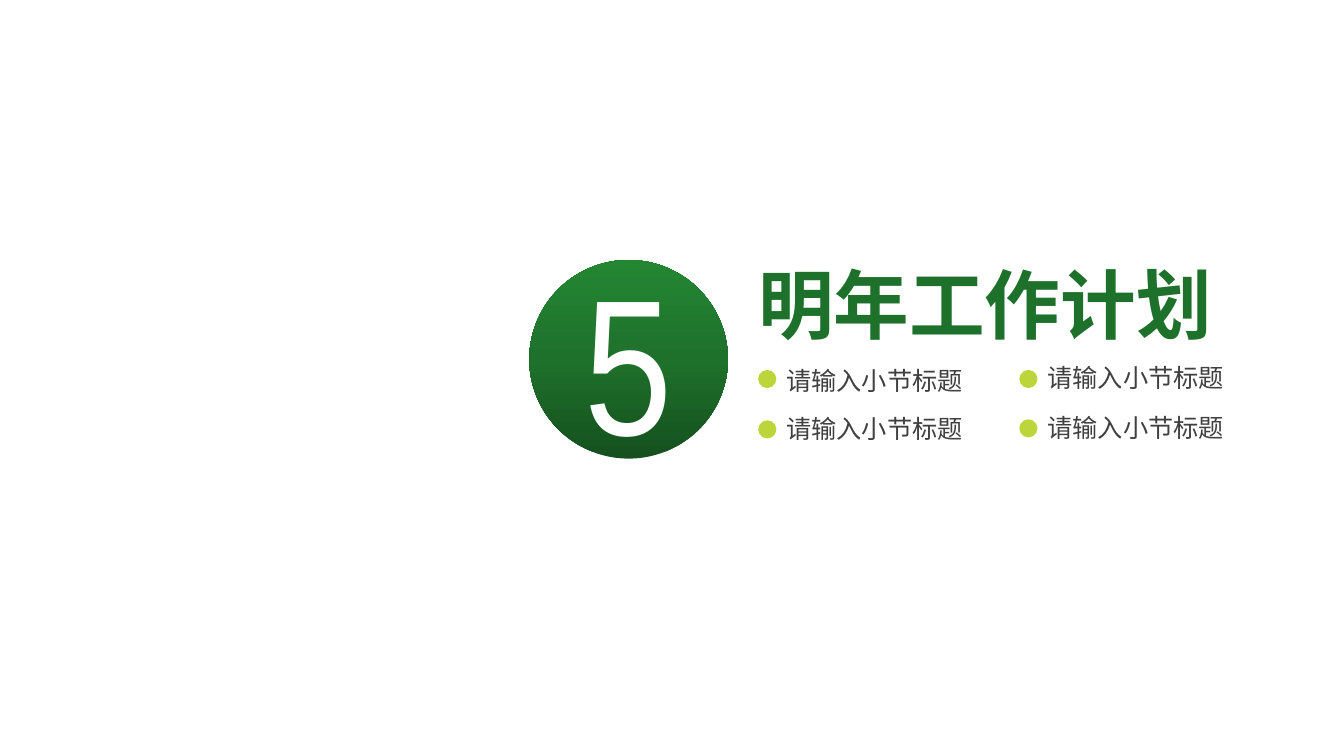
from lxml.etree import SubElement
from pptx import Presentation
from pptx.dml.color import RGBColor
from pptx.enum.shapes import MSO_SHAPE
from pptx.enum.text import MSO_AUTO_SIZE, PP_ALIGN
from pptx.oxml.ns import qn
from pptx.util import Inches, Pt

COLORS = {"lime": "BBD53B", "body": "404040", "white": "FFFFFF"}
GREEN_STOPS = [(0, "15501E"), (50, "1E712B"), (100, "248633")]
CHINESE_FONT = "Noto Sans CJK SC"

TITLE = {"text": "明年工作计划", "box": (7.42, 2.51, 4.75, 1.01)}
NUMBER = {"text": "5", "box": (5.61, 2.35, 1.24, 2.42)}
NUMBER_CIRCLE = (5.25, 2.58, 1.97)
# text, dot left, dot top, text top
SECTIONS = [
    ("请输入小节标题", 7.52, 3.67, 3.58),
    ("请输入小节标题", 10.11, 3.67, 3.55),
    ("请输入小节标题", 7.52, 4.17, 4.05),
    ("请输入小节标题", 10.11, 4.16, 4.04),
]
DOT_SIZE = 0.18
SECTION_SIZE = (1.97, 0.4)

TITLE_FORMAT = {"name": CHINESE_FONT, "size": Pt(54), "bold": True}
SECTION_FORMAT = {"name": CHINESE_FONT, "size": Pt(18)}
NUMBER_FORMAT = {"name": "Arial Narrow", "size": Pt(138)}


def fill_solid(fill, color):
    fill.solid()
    fill.fore_color.rgb = RGBColor.from_string(COLORS[color])


def fill_green(fill, owner):
    """Give a fill the three-stop gradient, dark at the bottom; owner is its XML parent."""
    fill.gradient()
    fill.gradient_angle = 90
    stops = owner.find(".//" + qn("a:gsLst"))
    for stop in list(stops):
        stops.remove(stop)
    for percent, color in GREEN_STOPS:
        stop = SubElement(stops, qn("a:gs"), pos=str(percent * 1000))
        SubElement(stop, qn("a:srgbClr"), val=color)


def add_circle(slide, left, top, size):
    circle = slide.shapes.add_shape(
        MSO_SHAPE.OVAL, Inches(left), Inches(top), Inches(size), Inches(size))
    circle.shadow.inherit = False
    circle.line.fill.background()
    return circle


def add_text(slide, text, box, font_format):
    shape = slide.shapes.add_textbox(*map(Inches, box))
    frame = shape.text_frame
    frame.word_wrap = False
    frame.auto_size = MSO_AUTO_SIZE.SHAPE_TO_FIT_TEXT
    run = frame.paragraphs[0].add_run()
    run.text = text
    for name, value in font_format.items():
        setattr(run.font, name, value)
    properties = shape.element.find(".//" + qn("a:rPr"))
    SubElement(properties, qn("a:ea"), typeface=font_format["name"])
    return shape, run


def main():
    presentation = Presentation()
    presentation.slide_width = Inches(13.33)
    presentation.slide_height = Inches(7.5)
    slide = presentation.slides.add_slide(presentation.slide_layouts[6])

    title, title_run = add_text(slide, TITLE["text"], TITLE["box"], TITLE_FORMAT)
    fill_green(title_run.font.fill, title.element)

    for text, dot_left, dot_top, text_top in SECTIONS:
        dot = add_circle(slide, dot_left, dot_top, DOT_SIZE)
        fill_solid(dot.fill, "lime")
        box = (dot_left + DOT_SIZE, text_top, *SECTION_SIZE)
        _, section_run = add_text(slide, text, box, SECTION_FORMAT)
        fill_solid(section_run.font.fill, "body")

    circle = add_circle(slide, *NUMBER_CIRCLE)
    fill_green(circle.fill, circle.element)
    number, number_run = add_text(slide, NUMBER["text"], NUMBER["box"], NUMBER_FORMAT)
    number.text_frame.paragraphs[0].alignment = PP_ALIGN.CENTER
    fill_solid(number_run.font.fill, "white")

    presentation.save("out.pptx")


if __name__ == "__main__":
    main()
